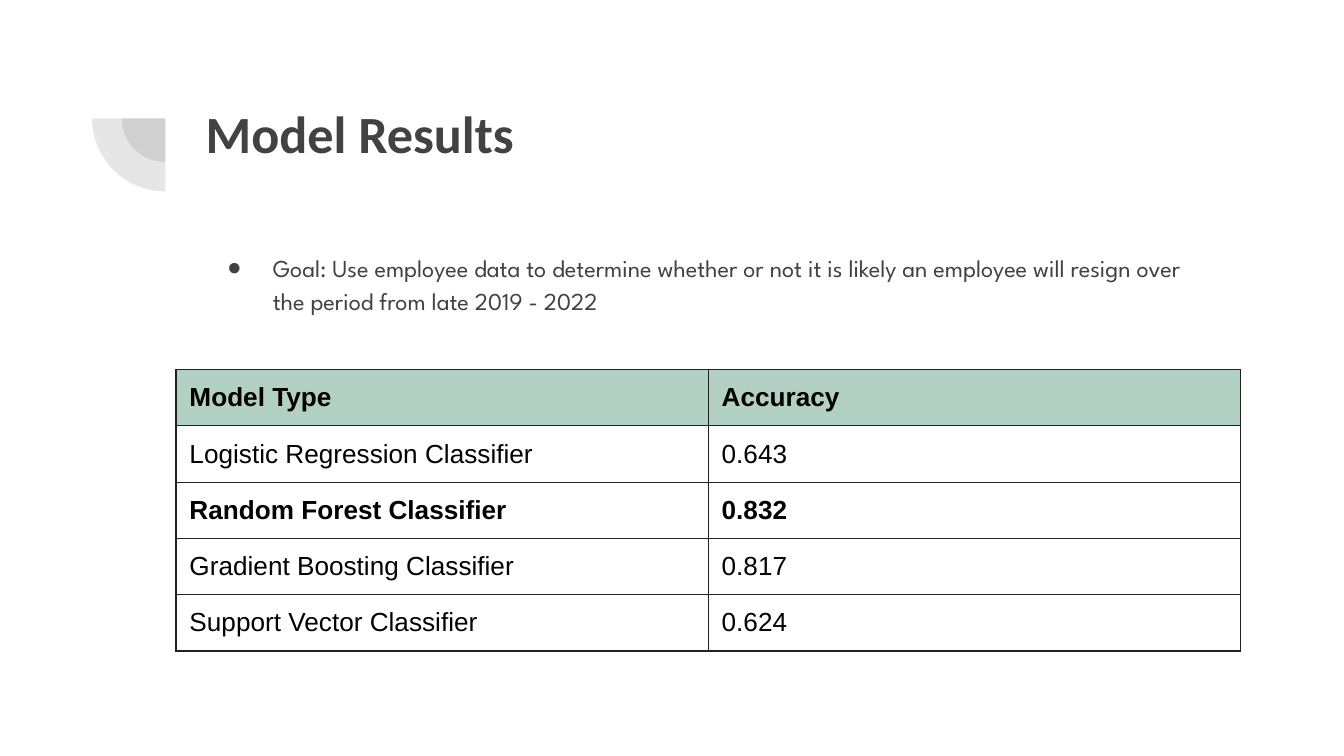
from lxml import etree
from pptx import Presentation
from pptx.dml.color import RGBColor
from pptx.enum.shapes import MSO_SHAPE
from pptx.enum.text import MSO_ANCHOR, MSO_AUTO_SIZE, PP_ALIGN
from pptx.oxml.ns import qn
from pptx.util import Inches, Pt

PIE = MSO_SHAPE.PIE
TOP = MSO_ANCHOR.TOP
LEFT = PP_ALIGN.LEFT
NO_AUTOFIT = MSO_AUTO_SIZE.NONE

WIDTH = 10
HEIGHT = WIDTH * 9 / 16
INSET = Inches(0.1)
COLORS = {"ink": "424242", "header": "B3D0C5", "border": "212121", "cell_text": "000000"}

TITLE = "Model Results"
GOAL = (
    "Goal: Use employee data to determine whether or not it is likely "
    "an employee will resign over the period from late 2019 - 2022"
)
RESULTS = [
    ("Model Type", "Accuracy"),
    ("Logistic Regression Classifier", "0.643"),
    ("Random Forest Classifier", "0.832"),
    ("Gradient Boosting Classifier", "0.817"),
    ("Support Vector Classifier", "0.624"),
]
BOLD_ROWS = {0, 2}
CONTENT_LEFT, CONTENT_WIDTH = 1.43, 7.69
TABLE_LEFT, TABLE_TOP = 1.31, 2.75
COLUMN_WIDTH, ROW_HEIGHT = 3.96, 0.37
ARC_CENTER = (1.23, 0.88)
ARC_DIAMETERS = (0.65, 1.09)


def add_child(parent, tag, **attributes):
    """Append an XML child with the given attributes."""
    child = etree.SubElement(parent, qn(tag))
    for name, value in attributes.items():
        child.set(name, str(value))
    return child


def write_text(frame, text, font="Arial", size=14, color="ink", bold=False, spacing=1.0):
    """Fill a text frame with one formatted paragraph and return it."""
    paragraph = frame.paragraphs[0]
    paragraph.alignment = LEFT
    paragraph.line_spacing = spacing
    paragraph.space_before = Pt(0)
    run = paragraph.add_run()
    run.text = text
    run.font.name = font
    run.font.size = Pt(size)
    run.font.bold = bold
    run.font.color.rgb = RGBColor.from_string(COLORS[color])
    return paragraph


def place_placeholder(shape, top, height):
    """Move a placeholder into the content column and return its text frame."""
    shape.left, shape.top = Inches(CONTENT_LEFT), Inches(top)
    shape.width, shape.height = Inches(CONTENT_WIDTH), Inches(height)
    frame = shape.text_frame
    frame.word_wrap = True
    frame.auto_size = NO_AUTOFIT
    frame.vertical_anchor = TOP
    frame.margin_left = frame.margin_right = INSET
    frame.margin_top = frame.margin_bottom = INSET
    return frame


def add_bullet(paragraph, character, margin, indent):
    """Give a paragraph a hanging bullet in the ink colour."""
    properties = paragraph._p.get_or_add_pPr()
    properties.set("marL", str(Inches(margin)))
    properties.set("indent", str(Inches(indent)))
    add_child(add_child(properties, "a:buClr"), "a:srgbClr", val=COLORS["ink"])
    add_child(properties, "a:buFont", typeface="Arial")
    add_child(properties, "a:buChar", char=character)


def add_quarter_disc(slide, diameter):
    """Draw a translucent lower-left quarter disc around the shared centre."""
    left, top = (Inches(center - diameter / 2) for center in ARC_CENTER)
    shape = slide.shapes.add_shape(PIE, left, top, Inches(diameter), Inches(diameter))
    shape.adjustments[0], shape.adjustments[1] = 108, 162
    shape.rotation = 270
    shape.shadow.inherit = False
    shape.line.fill.background()
    shape.fill.solid()
    shape.fill.fore_color.rgb = RGBColor.from_string(COLORS["ink"])
    color = shape._element.spPr.find(qn("a:solidFill")).find(qn("a:srgbClr"))
    add_child(color, "a:alpha", val=13000)


def add_borders(cell):
    """Outline a table cell on all four sides."""
    properties = cell._tc.get_or_add_tcPr()
    for side in "LRTB":
        line = add_child(properties, f"a:ln{side}", w=Pt(0.75))
        add_child(add_child(line, "a:solidFill"), "a:srgbClr", val=COLORS["border"])


def add_results_table(slide):
    """Add the table of model accuracies."""
    rows, columns = len(RESULTS), len(RESULTS[0])
    table = slide.shapes.add_table(
        rows, columns, Inches(TABLE_LEFT), Inches(TABLE_TOP),
        Inches(columns * COLUMN_WIDTH), Inches(rows * ROW_HEIGHT),
    ).table
    table.first_row = table.horz_banding = False
    for row, values in enumerate(RESULTS):
        for column, value in enumerate(values):
            cell = table.cell(row, column)
            cell.margin_left = cell.margin_right = INSET
            cell.margin_top = cell.margin_bottom = INSET
            write_text(cell.text_frame, value, color="cell_text", bold=row in BOLD_ROWS)
            add_borders(cell)
            if row == 0:
                cell.fill.solid()
                cell.fill.fore_color.rgb = RGBColor.from_string(COLORS["header"])
            else:
                cell.fill.background()


def main():
    """Build and save the model results slide."""
    presentation = Presentation()
    presentation.slide_width, presentation.slide_height = Inches(WIDTH), Inches(HEIGHT)
    slide = presentation.slides.add_slide(presentation.slide_layouts[1])
    for diameter in ARC_DIAMETERS:
        add_quarter_disc(slide, diameter)
    title = place_placeholder(slide.shapes.title, 0.65, 1.09)
    write_text(title, TITLE, font="Calibri", size=28, bold=True)
    body = place_placeholder(slide.placeholders[1], 1.75, 2.78)
    goal = write_text(body, GOAL, font="League Spartan", size=13, spacing=1.15)
    add_bullet(goal, "●", margin=0.5, indent=-0.34)
    add_results_table(slide)
    presentation.save("out.pptx")


if __name__ == "__main__":
    main()
